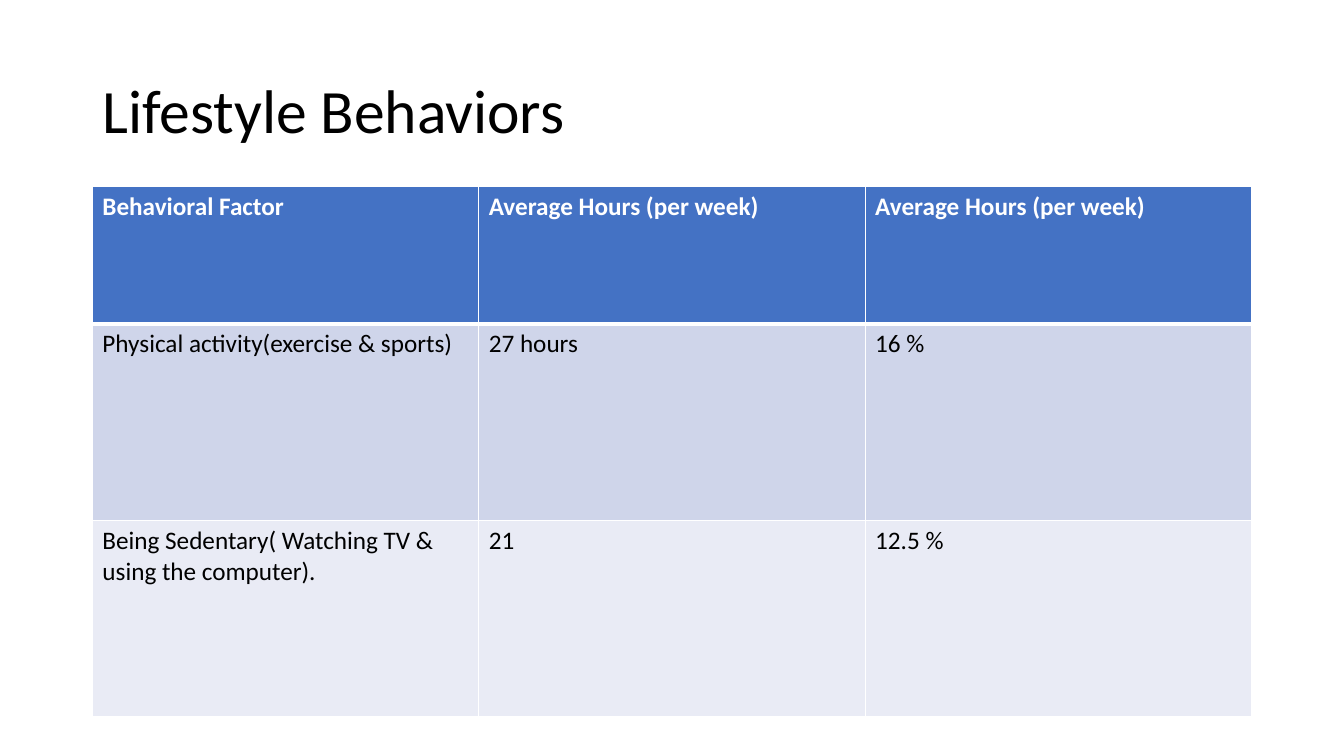
from lxml.etree import SubElement
from pptx import Presentation
from pptx.dml.color import RGBColor
from pptx.enum.text import MSO_ANCHOR
from pptx.oxml.ns import qn
from pptx.util import Pt

BLACK = RGBColor(0x00, 0x00, 0x00)
WHITE = RGBColor(0xFF, 0xFF, 0xFF)
HEADER_BLUE = RGBColor(0x44, 0x72, 0xC4)
BAND_DARK = RGBColor(0xCF, 0xD5, 0xEA)
BAND_LIGHT = RGBColor(0xE9, 0xEB, 0xF5)

BEHAVIORS = [
    ["Behavioral Factor", "Average Hours (per week)", "Average Hours (per week)"],
    ["Physical activity(exercise & sports)", "27 hours", "16 %"],
    ["Being Sedentary( Watching TV & using the computer).", "21", "12.5 %"],
]
ROW_HEIGHTS = [98, 140.4, 140.4]
ROW_FILLS = [HEADER_BLUE, BAND_DARK, BAND_LIGHT]


class SlideBuilder:
    font_name = "Calibri"
    title_size = 44
    cell_size = 18

    def __init__(self, slide):
        self.slide = slide

    def add_run(self, paragraph, text, size, color, bold=False):
        run = paragraph.add_run()
        run.text = text
        run.font.name = self.font_name
        run.font.size = Pt(size)
        run.font.bold = bold
        run.font.color.rgb = color

    def add_title(self, text, left, top, width, height):
        shape = self.slide.shapes.add_textbox(Pt(left), Pt(top), Pt(width), Pt(height))
        frame = shape.text_frame
        frame.word_wrap = True
        frame.vertical_anchor = MSO_ANCHOR.MIDDLE
        paragraph = frame.paragraphs[0]
        paragraph.line_spacing = 0.9
        self.add_run(paragraph, text, self.title_size, BLACK)

    def set_borders(self, cell, widths):
        properties = cell._tc.get_or_add_tcPr()
        for side, width in widths.items():
            line = SubElement(properties, qn(f"a:ln{side}"), w=str(Pt(width)))
            fill = SubElement(line, qn("a:solidFill"))
            SubElement(fill, qn("a:srgbClr"), val=str(WHITE))

    def add_table(self, rows, row_heights, row_fills, left, top, width):
        column_count = len(rows[0])
        table = self.slide.shapes.add_table(
            len(rows), column_count, Pt(left), Pt(top), Pt(width), Pt(sum(row_heights))
        ).table
        for column in table.columns:
            column.width = Pt(width / column_count)
        for row_index, texts in enumerate(rows):
            table.rows[row_index].height = Pt(row_heights[row_index])
            is_header = row_index == 0
            borders = {
                "L": 1,
                "R": 1,
                "T": 3 if row_index == 1 else 1,
                "B": 3 if is_header else 1,
            }
            for column_index, text in enumerate(texts):
                cell = table.cell(row_index, column_index)
                self.set_borders(cell, borders)
                cell.fill.solid()
                cell.fill.fore_color.rgb = row_fills[row_index]
                self.add_run(
                    cell.text_frame.paragraphs[0],
                    text,
                    self.cell_size,
                    WHITE if is_header else BLACK,
                    is_header,
                )


def main():
    presentation = Presentation()
    presentation.slide_width = Pt(960)
    presentation.slide_height = Pt(540)
    slide = presentation.slides.add_slide(presentation.slide_layouts[6])
    builder = SlideBuilder(slide)
    builder.add_title("Lifestyle Behaviors", 66, 28.8, 828, 104.4)
    builder.add_table(BEHAVIORS, ROW_HEIGHTS, ROW_FILLS, 66, 133.2, 828)
    presentation.save("out.pptx")


if __name__ == "__main__":
    main()
